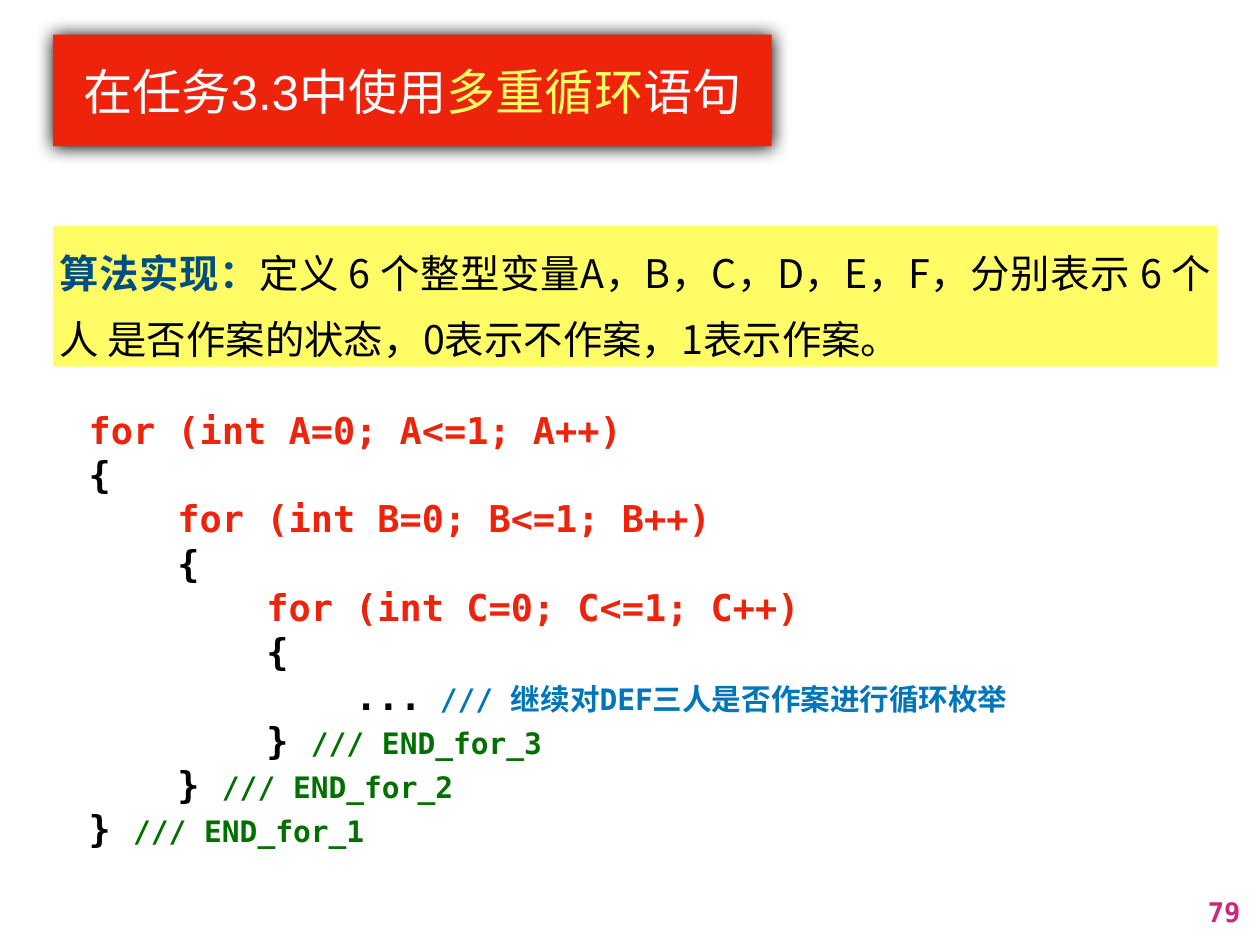
from lxml import etree
from pptx import Presentation
from pptx.dml.color import RGBColor
from pptx.enum.text import MSO_ANCHOR, MSO_AUTO_SIZE, PP_ALIGN
from pptx.oxml.ns import qn
from pptx.util import Inches, Pt

MIDDLE, TOP = MSO_ANCHOR.MIDDLE, MSO_ANCHOR.TOP
LEFT, CENTER, RIGHT, JUSTIFY = PP_ALIGN.LEFT, PP_ALIGN.CENTER, PP_ALIGN.RIGHT, PP_ALIGN.JUSTIFY

SANS, MONO, CHINESE = "Arial", "DejaVu Sans Mono", "Noto Sans CJK SC"
RED, YELLOW, WHITE, BLACK = "EE230C", "FFFC66", "FFFFFF", "000000"
NAVY, BLUE, GREEN, PINK = "004D80", "0076BA", "027001", "CB2A7A"

# Content: each paragraph is a list of (text, format) runs
TITLE = [[
    ("在任务3.3中使用", {"color": WHITE}),
    ("多重循环", {"color": YELLOW}),
    ("语句", {"color": WHITE}),
]]
ALGORITHM = [[
    ("算法实现：", {"color": NAVY, "bold": True}),
    ("定义 6 个整型变量A，B，C，D，E，F，分别表示 6 个人 是否作案的状态，"
     "0表示不作案，1表示作案。", {"color": BLACK}),
]]
LOOP_VARIABLES = ["A", "B", "C"]
INNER_COMMENT = "/// 继续对DEF三人是否作案进行循环枚举"
PAGE_NUMBER = [[("79", {"color": PINK})]]


def build_code():
    """Nest one loop per variable, then close the loops from the inside out."""
    indent = "    "
    lines = []
    for depth, name in enumerate(LOOP_VARIABLES):
        header = f"for (int {name}=0; {name}<=1; {name}++)"
        lines.append([(indent * depth + header, {"color": RED})])
        lines.append([(indent * depth + "{", {"color": BLACK})])
    lines.append([
        (indent * len(LOOP_VARIABLES) + "...", {"color": BLACK}),
        (" ", {"color": GREEN, "size": 24}),
        (INNER_COMMENT, {"color": BLUE, "size": 24}),
    ])
    for depth in reversed(range(len(LOOP_VARIABLES))):
        lines.append([
            (indent * depth + "} ", {"color": BLACK}),
            (f"/// END_for_{depth + 1}", {"color": GREEN, "size": 24}),
        ])
    return lines


def rgb(value):
    return RGBColor.from_string(value)


def place(shape, left, top, width, height, fill=None):
    shape.left, shape.top = Inches(left), Inches(top)
    shape.width, shape.height = Inches(width), Inches(height)
    if fill:
        shape.fill.solid()
        shape.fill.fore_color.rgb = rgb(fill)


def write(shape, paragraphs, size, font, bold=False, align=LEFT, anchor=MIDDLE,
          margin=0.07, wrap=True, line_spacing=1.0):
    frame = shape.text_frame
    frame.auto_size = MSO_AUTO_SIZE.NONE
    frame.word_wrap = wrap
    frame.vertical_anchor = anchor
    frame.margin_left = frame.margin_right = Inches(margin)
    frame.margin_top = frame.margin_bottom = Inches(margin)
    for index, runs in enumerate(paragraphs):
        paragraph = frame.paragraphs[0] if index == 0 else frame.add_paragraph()
        paragraph.alignment = align
        paragraph.line_spacing = line_spacing
        for text, style in runs:
            run = paragraph.add_run()
            run.text = text
            run.font.name = font
            run.font.size = Pt(style.get("size", size))
            run.font.bold = style.get("bold", bold)
            run.font.color.rgb = rgb(style["color"])
            east_asian = etree.SubElement(run.font._element, qn("a:ea"))
            east_asian.set("typeface", CHINESE)


def add_soft_shadow(shape, blur, distance):
    effects = etree.SubElement(shape._element.spPr, qn("a:effectLst"))
    shadow = etree.SubElement(effects, qn("a:outerShdw"), blurRad=str(Pt(blur)),
                              dist=str(Pt(distance)), dir="5400000", rotWithShape="0")
    etree.SubElement(shadow, qn("a:srgbClr"), val=BLACK)


def add_text_box(slide, *box, fill=None):
    shape = slide.shapes.add_textbox(0, 0, 0, 0)
    place(shape, *box, fill=fill)
    return shape


def main():
    presentation = Presentation()
    presentation.slide_width, presentation.slide_height = Inches(14.22), Inches(10.67)
    slide = presentation.slides.add_slide(presentation.slide_layouts[5])

    # Red title banner
    title = slide.shapes.title
    place(title, 0.6, 0.39, 8.11, 1.26, fill=RED)
    add_soft_shadow(title, blur=15, distance=0.7)
    write(title, TITLE, 40, SANS, align=CENTER)

    # Yellow algorithm note
    note = add_text_box(slide, 0.6, 2.55, 13.14, 1.59, fill=YELLOW)
    write(note, ALGORITHM, 32, CHINESE, align=JUSTIFY, line_spacing=1.4)

    # Nested loop code
    code = add_text_box(slide, 0.94, 4.54, 12.35, 5.12)
    write(code, build_code(), 30, MONO, bold=True, margin=0.06, line_spacing=Pt(36))

    # Page number
    number = add_text_box(slide, 13.55, 10.04, 0.52, 0.5)
    write(number, PAGE_NUMBER, 22, MONO, bold=True, align=RIGHT, anchor=TOP, wrap=False)

    presentation.save("out.pptx")


if __name__ == "__main__":
    main()
